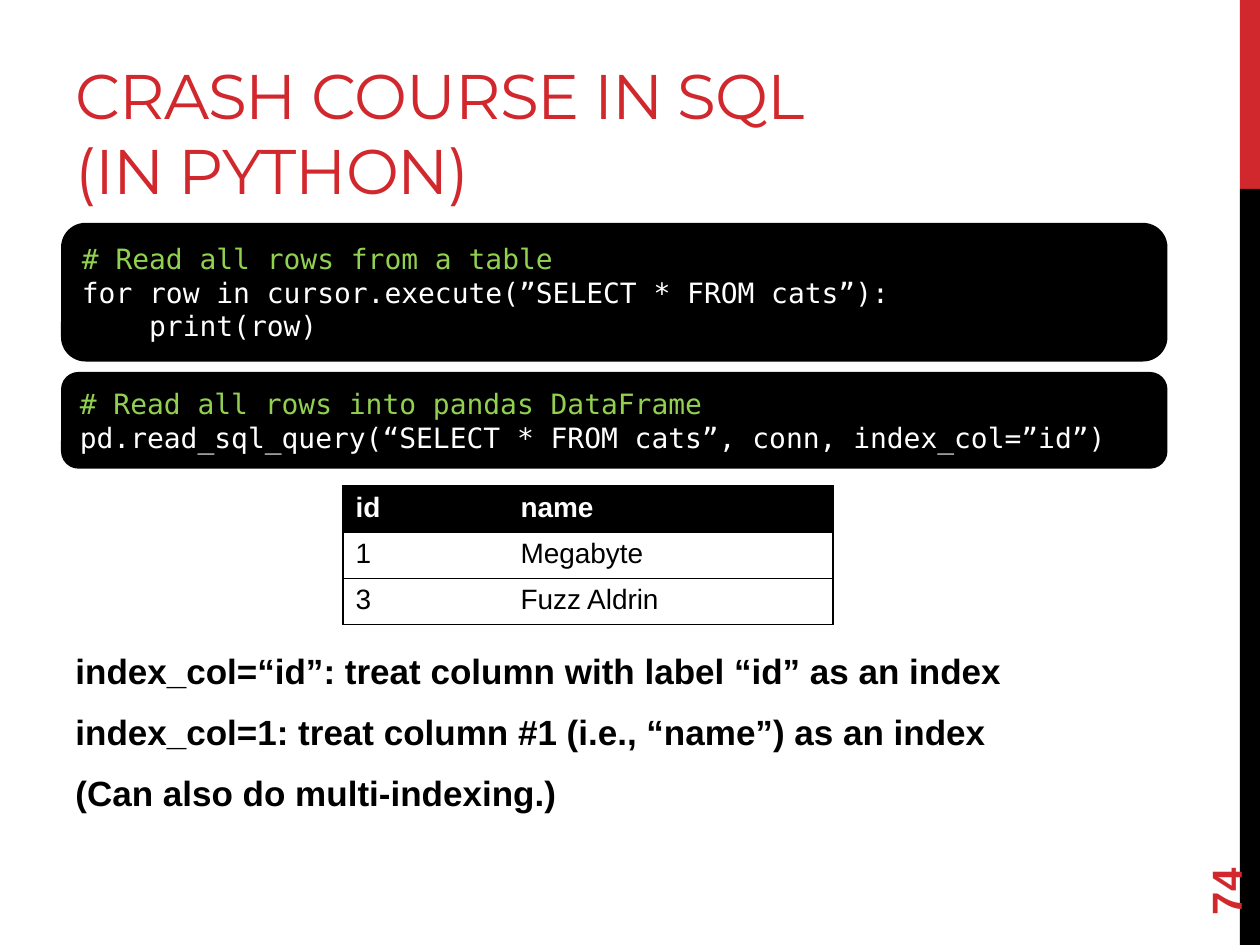
import lxml.etree
import pptx
import pptx.dml.color
import pptx.enum.shapes
import pptx.enum.text
import pptx.oxml.ns
import pptx.util

Pt = pptx.util.Pt
ANCHOR = pptx.enum.text.MSO_ANCHOR
SHAPE = pptx.enum.shapes.MSO_SHAPE
RED, BLACK, WHITE, GREEN = "D1282E", "000000", "FFFFFF", "92D050"


def color(hex_code):
    return pptx.dml.color.RGBColor.from_string(hex_code)


def format_runs(paragraph, font_name, size, hex_code, bold=False):
    for run in paragraph.runs:
        run.font.name = font_name
        run.font.size = Pt(size)
        run.font.bold = bold
        run.font.color.rgb = color(hex_code)


def add_box(slide, preset, box, fill):
    shape = slide.shapes.add_shape(preset, *map(Pt, box))
    shape.shadow.inherit = False
    shape.fill.solid()
    shape.fill.fore_color.rgb = color(fill)
    shape.line.fill.background()
    return shape


def add_text(slide, box, text, anchor):
    text_box = slide.shapes.add_textbox(*map(Pt, box))
    frame = text_box.text_frame
    frame.word_wrap = True
    frame.vertical_anchor = anchor
    frame.text = text
    return text_box


def add_side_band(slide, box):
    """Fill the box with a red fifth above a black remainder."""
    left, top, width, height = box
    red_height = height / 5
    add_box(slide, SHAPE.RECTANGLE, (left, top, width, red_height), RED)
    add_box(slide, SHAPE.RECTANGLE,
            (left, top + red_height, width, height - red_height), BLACK)


def add_title(slide, box, text):
    frame = add_text(slide, box, text, ANCHOR.BOTTOM).text_frame
    frame.margin_bottom = Pt(1.5)
    format_runs(frame.paragraphs[0], "Montserrat", 36, RED)
    for run in frame.paragraphs[0].runs:
        run.font._element.set("spc", "-60")


def add_code(slide, box, lines):
    """Place a code panel whose first line is a comment."""
    panel = add_box(slide, SHAPE.ROUNDED_RECTANGLE, box, BLACK)
    panel.line.color.rgb = color(BLACK)
    panel.line.width = Pt(2.25)
    frame = panel.text_frame
    frame.word_wrap = True
    frame.vertical_anchor = ANCHOR.MIDDLE
    frame.text = "\n".join(lines)
    for index, paragraph in enumerate(frame.paragraphs):
        paragraph.alignment = pptx.enum.text.PP_ALIGN.LEFT
        format_runs(paragraph, "DejaVu Sans Mono", 16, WHITE if index else GREEN)


def set_border(cell, side, visible):
    properties = cell._tc.get_or_add_tcPr()
    qn = pptx.oxml.ns.qn
    border = lxml.etree.SubElement(properties, qn(f"a:ln{side}"), w=str(Pt(1)))
    if visible:
        fill = lxml.etree.SubElement(border, qn("a:solidFill"))
        lxml.etree.SubElement(fill, qn("a:srgbClr"), val=BLACK)
    else:
        lxml.etree.SubElement(border, qn("a:noFill"))


def add_cats_table(slide, box, rows, column_widths):
    table = slide.shapes.add_table(
        len(rows), len(column_widths), *map(Pt, box)).table
    for column, width in zip(table.columns, column_widths):
        column.width = Pt(width)
    last = len(column_widths) - 1
    for r, row in enumerate(rows):
        table.rows[r].height = Pt(box[3] / len(rows))
        for c, value in enumerate(row):
            cell = table.cell(r, c)
            borders = {"L": c == 0, "R": c == last, "T": True, "B": True}
            for side, visible in borders.items():
                set_border(cell, side, visible)
            header = r == 0
            cell.fill.solid()
            cell.fill.fore_color.rgb = color(BLACK if header else WHITE)
            cell.text_frame.text = value
            format_runs(cell.text_frame.paragraphs[0], "Arial", 16,
                        WHITE if header else BLACK, header)


def add_notes_on_index(slide, box, lines):
    frame = add_text(slide, box, "\n".join(lines), ANCHOR.TOP).text_frame
    for index, paragraph in enumerate(frame.paragraphs):
        paragraph.space_before = Pt(5 if index else 0)
        paragraph.space_after = Pt(6)
        format_runs(paragraph, "Arial", 20, BLACK, True)


def add_page_number(slide, box, number):
    text_box = add_text(slide, box, number, ANCHOR.MIDDLE)
    text_box.rotation = 270
    format_runs(text_box.text_frame.paragraphs[0], "Arial", 24, RED, True)


def main():
    deck = pptx.Presentation()
    deck.slide_width, deck.slide_height = Pt(720), Pt(540)
    slide = deck.slides.add_slide(deck.slide_layouts[6])

    add_side_band(slide, (708.5, 0, 11.5, 540))
    add_title(slide, (36, 12, 456, 108), "CRASH COURSE IN SQL (IN PYTHON)")
    add_notes_on_index(slide, (36, 367.5, 600, 115), [
        "index_col=“id”: treat column with label “id” as an index",
        "index_col=1: treat column #1 (i.e., “name”) as an index",
        "(Can also do multi-indexing.)",
    ])
    add_page_number(slide, (648, 463.5, 104, 29), "74")
    add_code(slide, (36, 128.5, 630, 77), [
        "# Read all rows from a table",
        "for row in cursor.execute(”SELECT * FROM cats”):",
        "    print(row)",
    ])
    add_code(slide, (36, 213.7, 630, 53), [
        "# Read all rows into pandas DataFrame",
        "pd.read_sql_query(“SELECT * FROM cats”, conn, index_col=”id”)",
    ])
    add_cats_table(slide, (196, 277.5, 280, 79.5),
                   [("id", "name"), ("1", "Megabyte"), ("3", "Fuzz Aldrin")],
                   (94.3, 185.7))
    deck.save("out.pptx")


if __name__ == "__main__":
    main()
